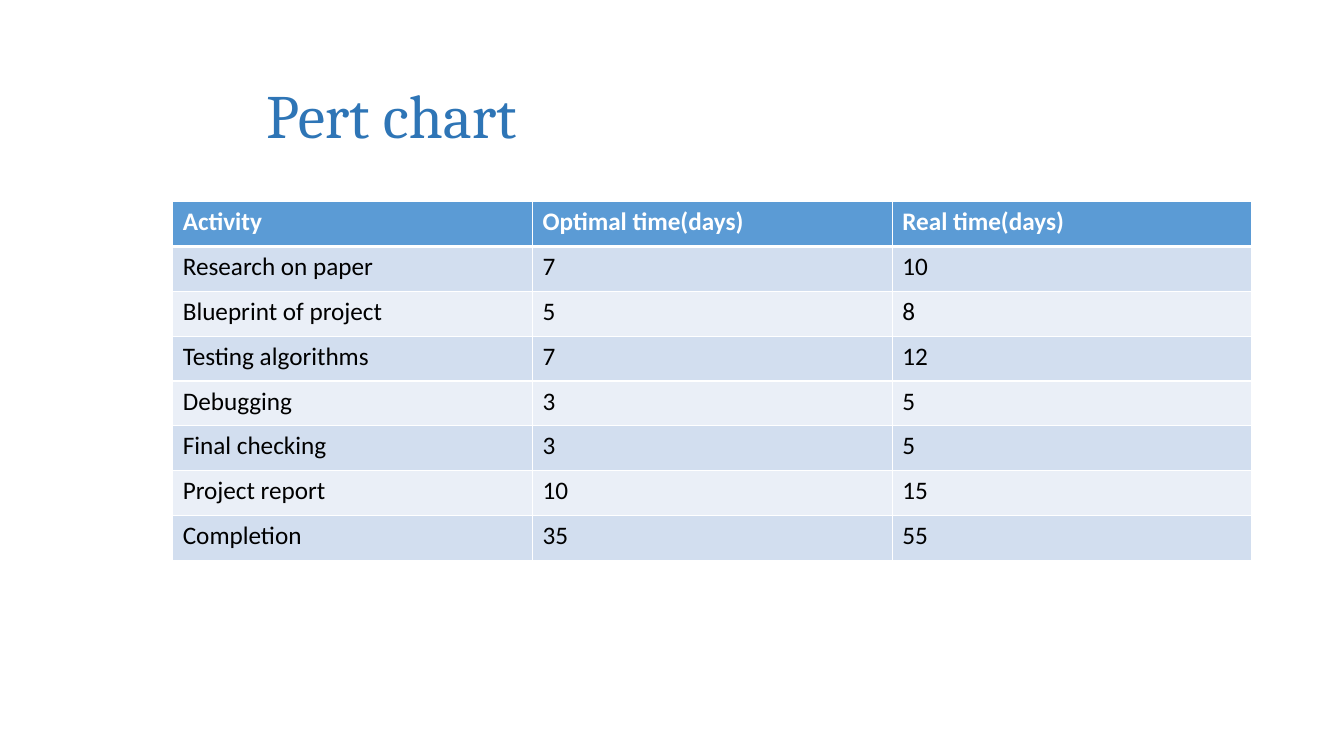
"""Build the slide with the activity time table."""
import pptx
import pptx.dml.color
import pptx.enum.text
import pptx.oxml
import pptx.oxml.ns
import pptx.util

Pt = pptx.util.Pt
RGBColor = pptx.dml.color.RGBColor

TITLE_BLUE = RGBColor(0x2E, 0x75, 0xB6)
HEADER_BLUE = RGBColor(0x5B, 0x9B, 0xD5)
BAND_DARK = RGBColor(0xD2, 0xDE, 0xEF)
BAND_LIGHT = RGBColor(0xEA, 0xEF, 0xF7)
WHITE = RGBColor(0xFF, 0xFF, 0xFF)
BLACK = RGBColor(0x00, 0x00, 0x00)

ACTIVITIES = [
    ("Activity", "Optimal time(days)", "Real time(days)"),
    ("Research on paper", "7", "10"),
    ("Blueprint of project", "5", "8"),
    ("Testing algorithms", "7", "12"),
    ("Debugging", "3", "5"),
    ("Final checking", "3", "5"),
    ("Project report", "10", "15"),
    ("Completion", "35", "55"),
]


def set_text(tf, text, font="Calibri", size=18, color=BLACK, bold=False):
    p = tf.paragraphs[0]
    p.alignment = pptx.enum.text.PP_ALIGN.LEFT
    r = p.add_run()
    r.text = text
    r.font.name = font
    r.font.size = Pt(size)
    r.font.bold = bold
    r.font.color.rgb = color


def set_borders(cell, color, **widths):
    tc_pr = cell._tc.get_or_add_tcPr()
    for i, (side, width) in enumerate(widths.items()):
        tc_pr.insert(i, pptx.oxml.parse_xml(
            f'<a:ln{side} {pptx.oxml.ns.nsdecls("a")} w="{Pt(width)}">'
            f'<a:solidFill><a:srgbClr val="{color}"/></a:solidFill></a:ln{side}>'))


def add_title(slide, text, left, top, width, height):
    sp = slide.shapes.title
    sp.left, sp.top, sp.width, sp.height = Pt(left), Pt(top), Pt(width), Pt(height)
    sp.text_frame.vertical_anchor = pptx.enum.text.MSO_ANCHOR.MIDDLE
    set_text(sp.text_frame, text, font="Cambria", size=44, color=TITLE_BLUE)


def add_activity_table(slide, rows, left, top, col_width, row_height):
    n_rows, n_cols = len(rows), len(rows[0])
    table = slide.shapes.add_table(
        n_rows, n_cols, Pt(left), Pt(top),
        Pt(col_width * n_cols), Pt(row_height * n_rows)).table
    for col in table.columns:
        col.width = Pt(col_width)
    for i, values in enumerate(rows):
        table.rows[i].height = Pt(row_height)
        header = i == 0
        fill = HEADER_BLUE if header else (BAND_LIGHT, BAND_DARK)[i % 2]
        for j, value in enumerate(values):
            cell = table.cell(i, j)
            cell.fill.solid()
            cell.fill.fore_color.rgb = fill
            set_borders(cell, WHITE, L=1, R=1, T=3 if i == 1 else 1,
                        B=3 if header else 1)
            set_text(cell.text_frame, value,
                     color=WHITE if header else BLACK, bold=header)


def main():
    prs = pptx.Presentation()
    prs.slide_width, prs.slide_height = Pt(960), Pt(540)
    slide = prs.slides.add_slide(prs.slide_layouts.get_by_name("Title Only"))
    add_title(slide, "Pert chart", 182.9, 28.8, 711.4, 104.4)
    add_activity_table(slide, ACTIVITIES, 123.4, 144, 257, 32.04)
    prs.save("out.pptx")


if __name__ == "__main__":
    main()
